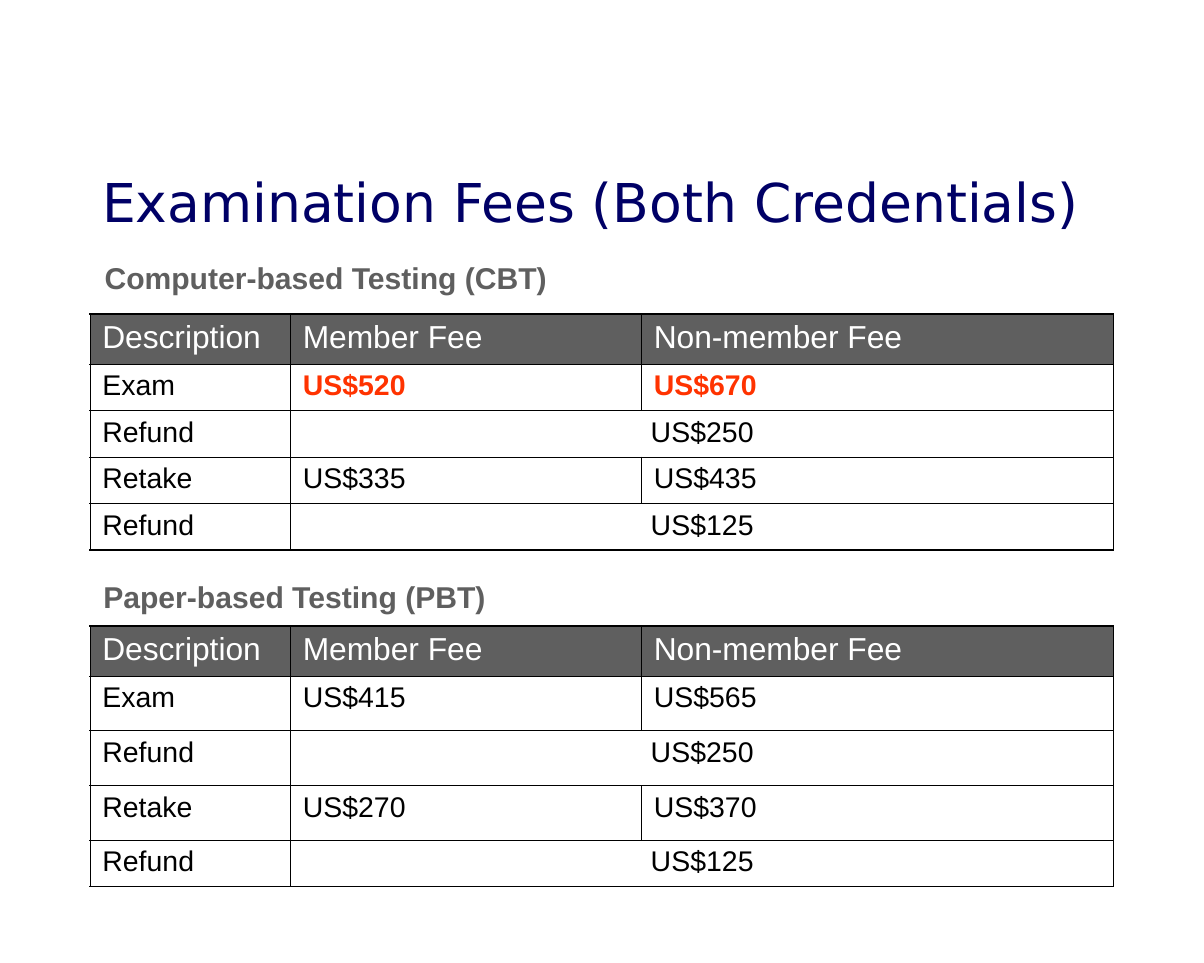
from dataclasses import dataclass

from lxml.etree import SubElement
from pptx import Presentation
from pptx.dml.color import RGBColor
from pptx.enum.text import MSO_ANCHOR, PP_ALIGN
from pptx.oxml.ns import qn
from pptx.slide import Slide
from pptx.table import _Cell
from pptx.text.text import _Paragraph
from pptx.util import Emu, Inches, Pt

NAVY = RGBColor(0x00, 0x00, 0x66)
GRAY = RGBColor(0x5F, 0x5F, 0x5F)
WHITE = RGBColor(0xFF, 0xFF, 0xFF)
BLACK = RGBColor(0x00, 0x00, 0x00)
RED = RGBColor(0xFF, 0x33, 0x00)

SLIDE_WIDTH, SLIDE_HEIGHT = Inches(10), Inches(8)
OUTER_LINE, INNER_LINE = Pt(1.08), Pt(0.45)

# Lengths are percentages of the slide's width or height
MARGIN = 7.5
COLUMNS = (16.65, 29.15, 39.2)
HEADINGS = ("Description", "Member Fee", "Non-member Fee")


@dataclass(frozen=True)
class TextStyle:
    size: float
    color: RGBColor
    font: str = "Arial"
    bold: bool = False


@dataclass(frozen=True)
class Label:
    text: str
    left: float
    top: float
    width: float
    height: float
    style: TextStyle
    wrap: bool = False


@dataclass(frozen=True)
class FeeRow:
    description: str
    fees: tuple[str, ...]  # a single fee spans both fee columns
    height: float
    fee_style: TextStyle


@dataclass(frozen=True)
class FeeTable:
    top: float
    heading_height: float
    rows: tuple[FeeRow, ...]


TITLE = TextStyle(32, NAVY, "DejaVu Sans")
CAPTION = TextStyle(18, GRAY, bold=True)
HEADING = TextStyle(19, WHITE)
BODY = TextStyle(17, BLACK)
HIGHLIGHT = TextStyle(17, RED, bold=True)

LABELS = (
    Label("Examination Fees (Both Credentials)", MARGIN, 15.75, 85, 10.25, TITLE, wrap=True),
    Label("Computer-based Testing (CBT)", 7.7, 26.38, 38.9, 5, CAPTION),
    Label("Paper-based Testing (PBT)", 7.6, 59.5, 33.9, 5, CAPTION),
)
FEE_TABLES = (
    FeeTable(32.6, 5.2, (
        FeeRow("Exam", ("US$520", "US$670"), 4.83, HIGHLIGHT),
        FeeRow("Refund", ("US$250",), 4.83, BODY),
        FeeRow("Retake", ("US$335", "US$435"), 4.83, BODY),
        FeeRow("Refund", ("US$125",), 4.83, BODY),
    )),
    FeeTable(65, 5.2, (
        FeeRow("Exam", ("US$415", "US$565"), 5.68, BODY),
        FeeRow("Refund", ("US$250",), 5.68, BODY),
        FeeRow("Retake", ("US$270", "US$370"), 5.68, BODY),
        FeeRow("Refund", ("US$125",), 4.83, BODY),
    )),
)


def across(percent: float) -> Emu:
    return Emu(round(SLIDE_WIDTH * percent / 100))


def down(percent: float) -> Emu:
    return Emu(round(SLIDE_HEIGHT * percent / 100))


def write(paragraph: _Paragraph, text: str, style: TextStyle) -> None:
    paragraph.text = text
    paragraph.font.name = style.font
    paragraph.font.size = Pt(style.size)
    paragraph.font.bold = style.bold
    paragraph.font.color.rgb = style.color


def add_label(slide: Slide, label: Label) -> None:
    frame = slide.shapes.add_textbox(
        across(label.left), down(label.top), across(label.width), down(label.height)
    ).text_frame
    frame.word_wrap = label.wrap
    frame.vertical_anchor = MSO_ANCHOR.MIDDLE if label.wrap else MSO_ANCHOR.TOP
    write(frame.paragraphs[0], label.text, label.style)


def set_borders(cell: _Cell, outer_sides: dict[str, bool]) -> None:
    properties = cell._tc.get_or_add_tcPr()
    for side, is_outer in outer_sides.items():
        width = OUTER_LINE if is_outer else INNER_LINE
        line = SubElement(properties, qn(f"a:ln{side}"), w=str(int(width)))
        fill = SubElement(line, qn("a:solidFill"))
        SubElement(fill, qn("a:srgbClr"), val=str(BLACK))


def add_fee_table(slide: Slide, fee_table: FeeTable) -> None:
    heights = [fee_table.heading_height, *(row.height for row in fee_table.rows)]
    table = slide.shapes.add_table(
        len(heights), len(COLUMNS), across(MARGIN), down(fee_table.top),
        across(sum(COLUMNS)), down(sum(heights)),
    ).table
    table.first_row = table.horz_banding = False
    for column, width in zip(table.columns, COLUMNS):
        column.width = across(width)
    for row, height in zip(table.rows, heights):
        row.height = down(height)

    # Wording and merged fees
    for column_index, heading in enumerate(HEADINGS):
        write(table.cell(0, column_index).text_frame.paragraphs[0], heading, HEADING)
    for row_index, row in enumerate(fee_table.rows, start=1):
        write(table.cell(row_index, 0).text_frame.paragraphs[0], row.description, BODY)
        for column_index, fee in enumerate(row.fees, start=1):
            write(table.cell(row_index, column_index).text_frame.paragraphs[0], fee, row.fee_style)
        if len(row.fees) == 1:
            shared = table.cell(row_index, 1)
            shared.merge(table.cell(row_index, 2))
            shared.text_frame.paragraphs[0].alignment = PP_ALIGN.CENTER

    # Borders and fills
    last_row, last_column = len(heights) - 1, len(COLUMNS) - 1
    for row_index in range(len(heights)):
        for column_index in range(len(COLUMNS)):
            cell = table.cell(row_index, column_index)
            if not cell.is_spanned:
                right_column = column_index + cell.span_width - 1
                set_borders(cell, {
                    "L": column_index == 0,
                    "R": right_column == last_column,
                    "T": row_index == 0,
                    "B": row_index == last_row,
                })
            if row_index == 0:
                cell.fill.solid()
                cell.fill.fore_color.rgb = GRAY
            else:
                cell.fill.background()


def main() -> None:
    presentation = Presentation()
    presentation.slide_width, presentation.slide_height = SLIDE_WIDTH, SLIDE_HEIGHT
    slide = presentation.slides.add_slide(presentation.slide_layouts[6])
    for fee_table in FEE_TABLES:
        add_fee_table(slide, fee_table)
    for label in LABELS:
        add_label(slide, label)
    presentation.save("out.pptx")


if __name__ == "__main__":
    main()
